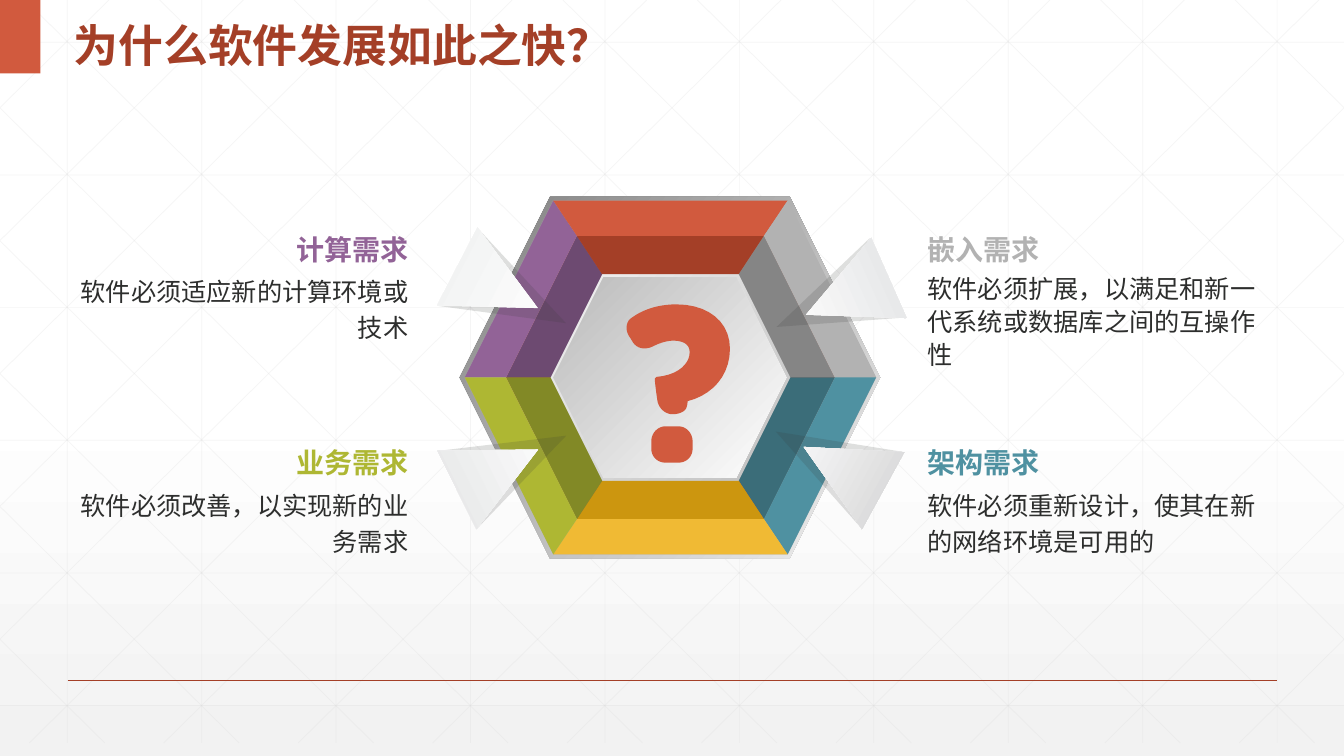
from dataclasses import dataclass

import pptx
import pptx.dml.color
import pptx.enum.dml
import pptx.enum.lang
import pptx.enum.shapes
import pptx.enum.text
import pptx.oxml
import pptx.oxml.ns
import pptx.util
from pptx.util import Inches

COLORS = {
    "white": "FFFFFF", "mist": "F2F2F2", "grid": "D9D9D9", "shade": "373937", "text": "2D2E2D",
    "red": "D15A3E", "dark_red": "A43F27", "gray": "B2B2B2", "dark_gray": "858585",
    "teal": "4F91A1", "dark_teal": "3B6D79", "yellow": "F0BA34", "dark_yellow": "CC960F",
    "green": "AEB733", "dark_green": "828926", "purple": "926397", "dark_purple": "6D4A71",
    "rim": "808080", "bevel": "BFBFBF", "center": "BABABA",
    "arrow_a": "D3D3D4", "arrow_b": "E2E3E4", "arrow_c": "E4E5E6", "arrow_d": "F0F1F1",
}
FONT = "Arial"
WIDTH, HEIGHT, GRID_BOTTOM = 13.33, 7.5, 7.37
SPACING_X, SPACING_Y = 4 / 3, 1.316
DIAGONAL_RUN = 7.455


@dataclass
class Box:
    left: float
    top: float
    width: float
    height: float

    def emu(self) -> tuple:
        return tuple(Inches(value) for value in (self.left, self.top, self.width, self.height))


@dataclass
class Hexagon:
    box: Box
    colors: tuple
    angle: int = 0


@dataclass
class Arrow:
    shade: Box
    face: Box
    rotation: float
    color: str


@dataclass
class Need:
    heading: str
    body: str
    color: str
    left: float
    top: float
    align: str
    body_width: float = 3.27
    spacing: float = 1.2


OUTER = Box(4.61, 1.99, 4.08, 3.51)
MIDDLE = Box(5.02, 2.34, 3.26, 2.81)
INNER = Box(5.46, 2.72, 2.38, 2.05)
HEXAGONS = [
    Hexagon(Box(4.56, 1.95, 4.17, 3.59), ("rim", "mist"), 45),
    Hexagon(OUTER, ("gray",)),
    Hexagon(MIDDLE, ("red",)),
    Hexagon(INNER, ("bevel", "mist"), 225),
    Hexagon(Box(5.49, 2.75, 2.31, 1.99), ("white", "center"), 225),
]
SIDE_COLORS = ["purple", "red", "gray", "teal", "yellow", "green"]
ARROWS = [
    Arrow(Box(7.79, 3.97, 0.86, 1.2), Box(7.93, 4.2, 0.87, 0.9), 298.8, "arrow_a"),
    Arrow(Box(7.82, 2.4, 0.86, 1.2), Box(7.97, 2.49, 0.87, 0.9), 246.1, "arrow_b"),
    Arrow(Box(4.65, 3.99, 0.86, 1.2), Box(4.5, 4.21, 0.87, 0.9), 63.5, "arrow_c"),
    Arrow(Box(4.65, 2.33, 0.86, 1.2), Box(4.5, 2.4, 0.87, 0.9), 117.4, "arrow_d"),
]
NEEDS = [
    Need("嵌入需求", "软件必须扩展，以满足和新一代系统或数据库之间的互操作性", "gray", 9.2, 2.26, "LEFT", 3.4, 1.1),
    Need("架构需求", "软件必须重新设计，使其在新的网络环境是可用的", "teal", 9.2, 4.38, "LEFT"),
    Need("计算需求", "软件必须适应新的计算环境或技术", "purple", 0.78, 2.26, "RIGHT"),
    Need("业务需求", "软件必须改善，以实现新的业务需求", "green", 0.78, 4.38, "RIGHT"),
]
QUESTION_DOT = [
    (6.6, 4.23), (6.73, 4.23), (6.81, 4.23, 6.87, 4.3, 6.87, 4.38), (6.87, 4.45),
    (6.87, 4.53, 6.81, 4.59, 6.73, 4.59), (6.6, 4.59), (6.52, 4.59, 6.46, 4.53, 6.46, 4.45),
    (6.46, 4.38), (6.46, 4.3, 6.52, 4.23, 6.6, 4.23),
]
QUESTION_HOOK = [
    (6.71, 3.02), (7.02, 3.02, 7.24, 3.19, 7.24, 3.46), (7.24, 3.73, 7.06, 3.92, 6.82, 3.98),
    (6.82, 3.98, 6.82, 4.01, 6.81, 4.04), (6.8, 4.08, 6.74, 4.11, 6.67, 4.11),
    (6.6, 4.11, 6.53, 4.05, 6.52, 3.97), (6.51, 3.9), (6.5, 3.82, 6.49, 3.75, 6.5, 3.75),
    (6.51, 3.74), (6.75, 3.72, 6.84, 3.59, 6.84, 3.5), (6.84, 3.49),
    (6.84, 3.42, 6.78, 3.38, 6.68, 3.38), (6.62, 3.38, 6.55, 3.4, 6.49, 3.43),
    (6.42, 3.47, 6.33, 3.47, 6.28, 3.4), (6.25, 3.35), (6.2, 3.29, 6.2, 3.19, 6.27, 3.15),
    (6.38, 3.07, 6.53, 3.02, 6.71, 3.02),
]


def rgb(name: str) -> pptx.dml.color.RGBColor:
    return pptx.dml.color.RGBColor.from_string(COLORS[name])


def set_alpha(element, percent: int) -> None:
    for color in element.iter(pptx.oxml.ns.qn("a:srgbClr")):
        alpha = pptx.oxml.parse_xml(f'<a:alpha {pptx.oxml.ns.nsdecls("a")} val="{percent * 1000}"/>')
        color.append(alpha)


def paint(fill, colors: tuple, angle: int = 0, start: float = 0) -> None:
    if len(colors) == 1:
        fill.solid()
        fill.fore_color.rgb = rgb(colors[0])
        return
    fill.gradient()
    fill.gradient_angle = 360 - angle
    for stop, color, position in zip(fill.gradient_stops, colors, (start, 1)):
        stop.color.rgb = rgb(color)
        stop.position = position


def finish(shape, colors: tuple, angle: int = 0) -> None:
    shape.shadow.inherit = False
    shape.line.fill.background()
    paint(shape.fill, colors, angle)


def add_preset(slide, kind: str, box: Box, colors: tuple, angle: int = 0, rotation: float = 0):
    shape = slide.shapes.add_shape(getattr(pptx.enum.shapes.MSO_SHAPE, kind), *box.emu())
    finish(shape, colors, angle)
    shape.rotation = rotation
    return shape


def add_outline(slide, contours: list, color: str) -> None:
    points = [[(Inches(x), Inches(y)) for x, y in contour] for contour in contours]
    builder = slide.shapes.build_freeform(*points[0][0])
    for index, contour in enumerate(points):
        if index:
            builder.move_to(*contour[0])
        builder.add_line_segments(contour[1:], close=True)
    finish(builder.convert_to_shape(), (color,))


def add_line(slide, start: tuple, end: tuple, color: str, width: float, opacity: int = 100) -> None:
    ends = [Inches(value) for value in (*start, *end)]
    connector = slide.shapes.add_connector(pptx.enum.shapes.MSO_CONNECTOR.STRAIGHT, *ends)
    connector.line.color.rgb = rgb(color)
    connector.line.width = pptx.util.Pt(width)
    properties = connector.element.spPr
    properties.append(pptx.oxml.parse_xml(f'<a:effectLst {pptx.oxml.ns.nsdecls("a")}/>'))
    if opacity < 100:
        set_alpha(properties, opacity)


def add_grid(slide) -> None:
    lines = []
    for index in range(10):
        x = SPACING_X * (index + 0.5)
        lines.append(((x, 0), (x, GRID_BOTTOM)))
    for index in range(6):
        y = 0.42 + SPACING_Y * index
        lines.append(((0, y), (WIDTH, y)))
    slope = GRID_BOTTOM / DIAGONAL_RUN
    for index in range(-5, 10):
        x = 0.25 + SPACING_X * index
        left, right = max(x, 0), min(x + DIAGONAL_RUN, WIDTH)
        top, bottom = (left - x) * slope, (right - x) * slope
        lines.append(((left, top), (right, bottom)))
        lines.append(((WIDTH - left, top), (WIDTH - right, bottom)))
    for start, end in lines:
        add_line(slide, start, end, "grid", 0.5, 25)


def corners(box: Box) -> list:
    inset, right, bottom = box.height / 4, box.left + box.width, box.top + box.height
    center = box.top + box.height / 2
    return [(box.left, center), (box.left + inset, box.top), (right - inset, box.top),
            (right, center), (right - inset, bottom), (box.left + inset, bottom)]


def add_ring(slide, outer: Box, inner: Box, prefix: str) -> None:
    outside, inside = corners(outer), corners(inner)
    for side, color in enumerate(SIDE_COLORS):
        following = (side + 1) % 6
        facet = [outside[side], outside[following], inside[following], inside[side]]
        add_outline(slide, [facet], prefix + color)


def trace(segments: list, steps: int = 10) -> list:
    points = [segments[0]]
    for segment in segments[1:]:
        if len(segment) == 2:
            points.append(segment)
            continue
        controls = [points[-1], segment[:2], segment[2:4], segment[4:]]
        for step in range(1, steps + 1):
            t = step / steps
            weights = ((1 - t) ** 3, 3 * t * (1 - t) ** 2, 3 * t * t * (1 - t), t ** 3)
            points.append(tuple(sum(w * c[axis] for w, c in zip(weights, controls)) for axis in (0, 1)))
    return points


def write(shape, text: str, size: int, color: str, bold: bool, align: str, spacing: float, anchor: str) -> None:
    frame = shape.text_frame
    frame.text = text
    frame.word_wrap = True
    frame.auto_size = pptx.enum.text.MSO_AUTO_SIZE.NONE
    frame.vertical_anchor = getattr(pptx.enum.text.MSO_ANCHOR, anchor)
    paragraph = frame.paragraphs[0]
    paragraph.alignment = getattr(pptx.enum.text.PP_ALIGN, align)
    paragraph.line_spacing = spacing
    font = paragraph.runs[0].font
    font.name, font.size, font.bold = FONT, pptx.util.Pt(size), bold
    font.color.rgb = rgb(color)
    font.language_id = pptx.enum.lang.MSO_LANGUAGE_ID.SIMPLIFIED_CHINESE


def add_text(slide, box: Box, *style) -> None:
    shape = slide.shapes.add_textbox(*box.emu())
    frame = shape.text_frame
    frame.margin_left = frame.margin_right = frame.margin_top = frame.margin_bottom = 0
    write(shape, *style)


def add_title(slide) -> None:
    title = slide.shapes.title
    title.left, title.top, title.width, title.height = Box(0.63, 0, 5.69, 0.73).emu()
    write(title, "为什么软件发展如此之快？", 32, "dark_red", True, "LEFT", 1.3, "MIDDLE")
    title.element.getparent().append(title.element)


def main() -> None:
    presentation = pptx.Presentation()
    presentation.slide_width, presentation.slide_height = Inches(WIDTH), Inches(HEIGHT)
    slide = presentation.slides.add_slide(presentation.slide_layouts[5])
    paint(slide.background.fill, ("white", "mist"), 90, 0.53)
    add_grid(slide)
    add_line(slide, (0.67, 6.75), (12.67, 6.75), "dark_red", 1)
    add_preset(slide, "RECTANGLE", Box(0, 0, 0.4, 0.73), ("red",))
    add_title(slide)
    for hexagon in HEXAGONS:
        add_preset(slide, "HEXAGON", hexagon.box, hexagon.colors, hexagon.angle)
    add_ring(slide, MIDDLE, INNER, "dark_")
    add_ring(slide, OUTER, MIDDLE, "")
    for arrow in ARROWS:
        shade = add_preset(slide, "ISOSCELES_TRIANGLE", arrow.shade, ("shade",), 0, arrow.rotation)
        set_alpha(shade.element.spPr, 16)
        add_preset(slide, "ISOSCELES_TRIANGLE", arrow.face, ("white", arrow.color), 90, arrow.rotation)
    add_outline(slide, [trace(QUESTION_DOT), trace(QUESTION_HOOK)], "red")
    for need in NEEDS:
        add_text(slide, Box(need.left, need.top, 3.27, 0.42),
                 need.heading, 20, need.color, True, need.align, 1.0, "MIDDLE")
        add_text(slide, Box(need.left, need.top + 0.42, need.body_width, 1.02),
                 need.body, 18, "text", False, need.align, need.spacing, "TOP")
    presentation.save("out.pptx")


if __name__ == "__main__":
    main()
